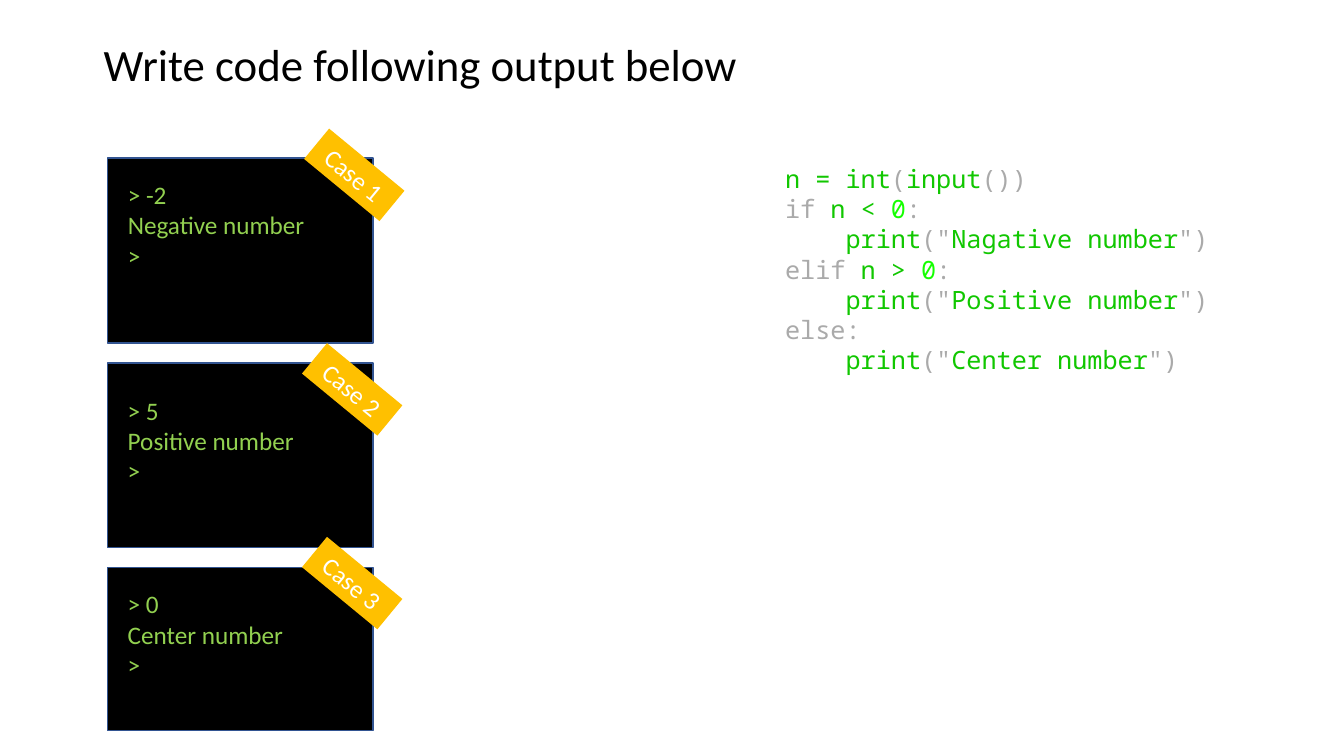
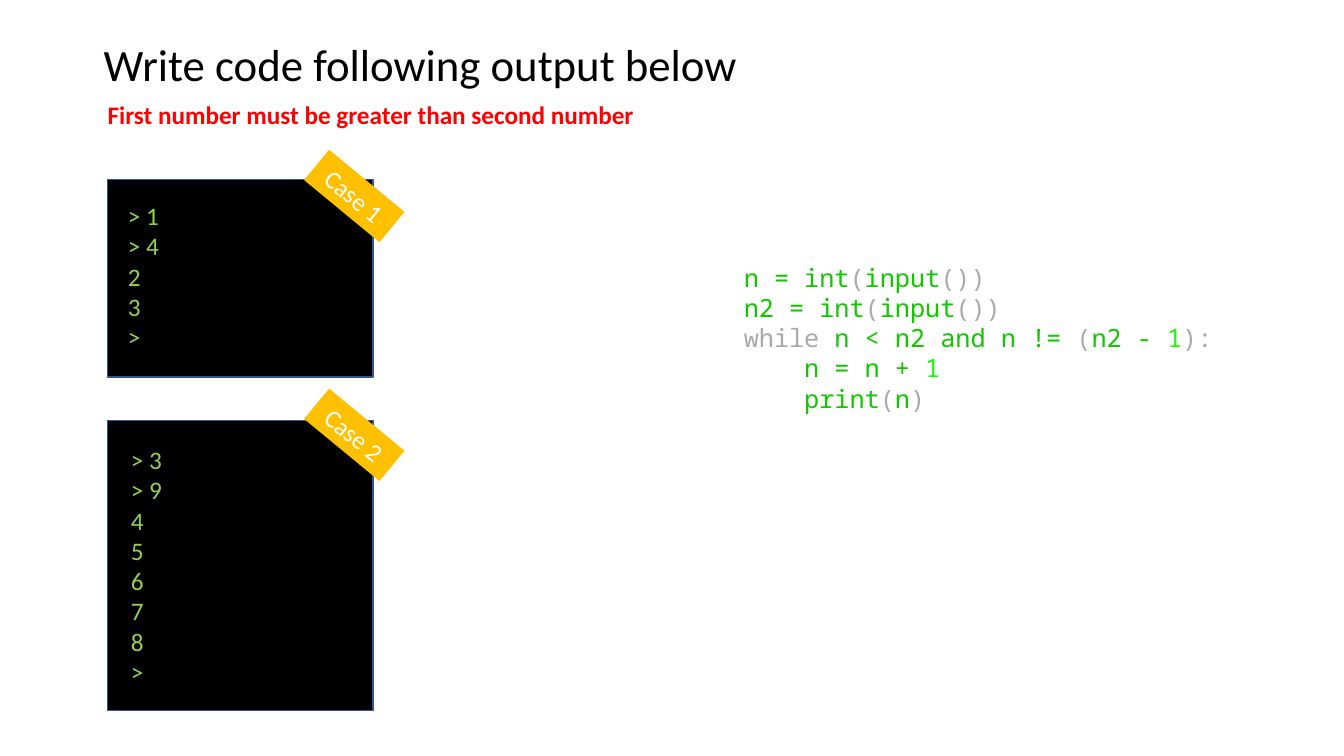
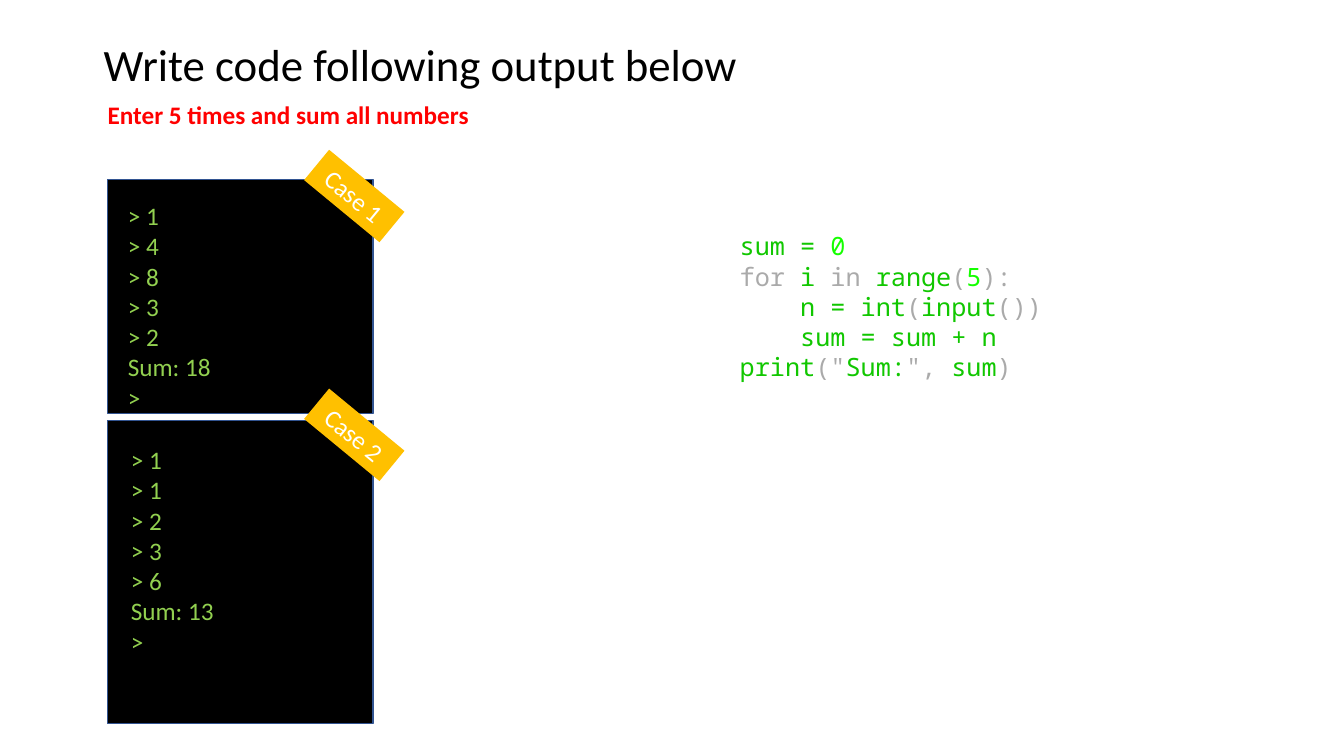
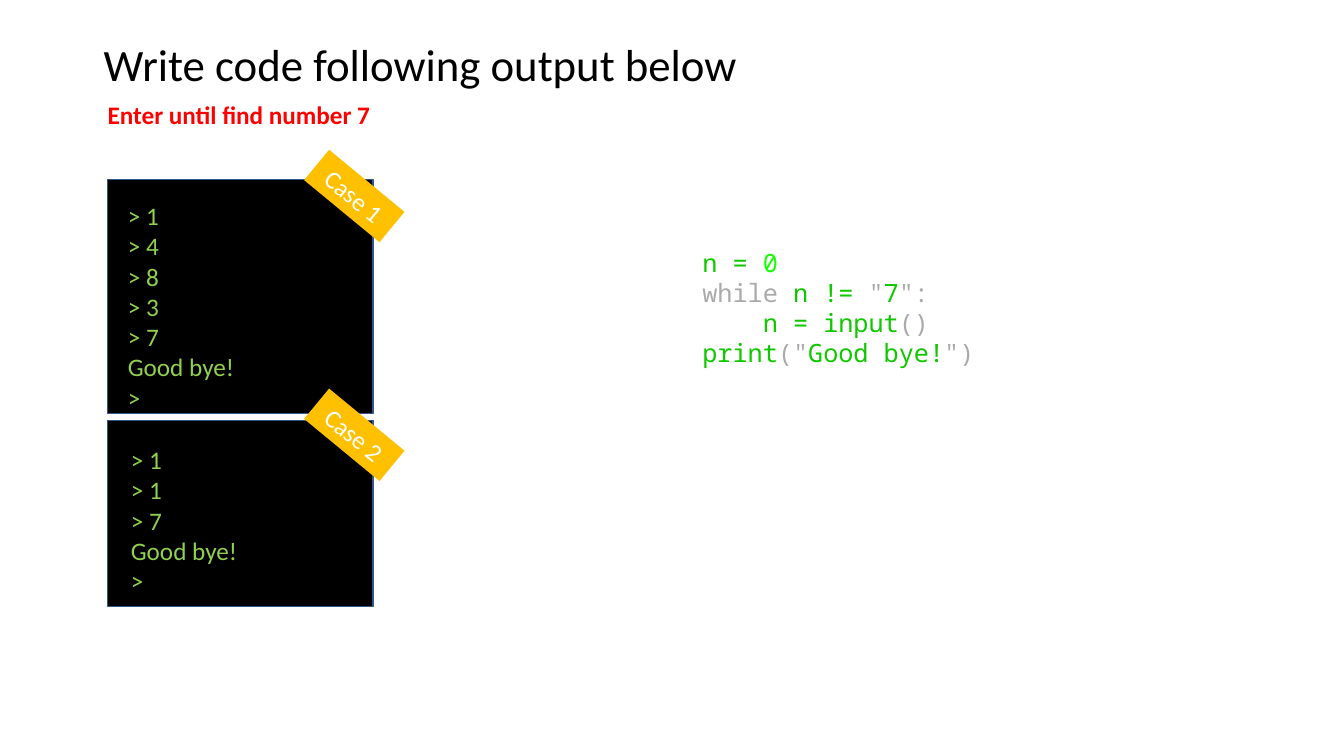
from dataclasses import dataclass

from pptx import Presentation
from pptx.dml.color import RGBColor
from pptx.enum import shapes, text
from pptx.util import Pt


# Theme: colours, fonts and type sizes
@dataclass(frozen=True)
class Theme:
    black: str = "000000"
    white: str = "FFFFFF"
    red: str = "FF0000"
    amber: str = "FFC000"
    border: str = "325491"
    output: str = "92D050"
    code: str = "11C700"
    keyword: str = "AAAAAA"
    number: str = "15FF00"
    body_font: str = "Calibri"
    code_font: str = "Noto Sans Mono"
    title_size: int = 32
    body_size: int = 18


THEME = Theme()
TITLE = "Write code following output below"
KEYWORDS = {"if", "elif", "else", "while", "for", "in"}
PUNCTUATION = set('()":,')
LINE_HEIGHT = 21.8
CODE_INDENT = 43.2  # four monospaced characters
SCREEN_LEFT, SCREEN_WIDTH = 77, 189.4
WIDE_OUTPUT = 195.1


@dataclass
class Case:
    """One terminal screen; output and tag are (left, top) positions."""
    top: float
    height: float
    output: tuple
    output_width: float
    tag: tuple
    lines: list


def rgb(colour):
    return RGBColor.from_string(colour)


def style(font, colour, size=THEME.body_size, name=THEME.body_font, bold=False):
    font.name, font.size, font.bold = name, Pt(size), bold
    font.color.rgb = rgb(colour)


# Element builders
def add_text_frame(slide, left, top, width, height, wrap=False):
    box = slide.shapes.add_textbox(Pt(left), Pt(top), Pt(width), Pt(height))
    frame = box.text_frame
    frame.word_wrap = wrap
    frame.auto_size = text.MSO_AUTO_SIZE.SHAPE_TO_FIT_TEXT
    return frame


def lines_height(lines):
    return 7.2 + LINE_HEIGHT * len(lines)


def add_rectangle(slide, left, top, width, height, fill, border=None):
    shape = slide.shapes.add_shape(
        shapes.MSO_SHAPE.RECTANGLE, Pt(left), Pt(top), Pt(width), Pt(height))
    shape.shadow.inherit = False
    shape.fill.solid()
    shape.fill.fore_color.rgb = rgb(fill)
    if border:
        shape.line.color.rgb = rgb(border)
        shape.line.width = Pt(1)
    else:
        shape.line.fill.background()
    return shape


def add_label(slide, words, left, top, width, height, colour, size, bold=False):
    paragraph = add_text_frame(slide, left, top, width, height).paragraphs[0]
    paragraph.text = words
    style(paragraph.font, colour, size, bold=bold)


def add_note(slide, words, width):
    add_label(slide, words, 69.8, 67.7, width, 29, THEME.red, THEME.body_size, bold=True)


def add_screen(slide, case):
    add_rectangle(slide, SCREEN_LEFT, case.top, SCREEN_WIDTH, case.height,
                  THEME.black, THEME.border)
    frame = add_text_frame(slide, *case.output, case.output_width,
                           lines_height(case.lines), case.output_width == WIDE_OUTPUT)
    frame.text = "\n".join(case.lines)
    for paragraph in frame.paragraphs:
        style(paragraph.font, THEME.output)


def add_tag(slide, words, position):
    tag = add_rectangle(slide, *position, 69.8, 28.1, THEME.amber)
    tag.rotation = 39.5
    tag.text_frame.vertical_anchor = text.MSO_ANCHOR.MIDDLE
    paragraph = tag.text_frame.paragraphs[0]
    paragraph.text = words
    paragraph.alignment = text.PP_ALIGN.CENTER
    style(paragraph.font, THEME.white)


def token_colour(token):
    if token.startswith("#"):
        return THEME.number
    if token.strip() in KEYWORDS or set(token) <= PUNCTUATION:
        return THEME.keyword
    return THEME.code


def add_code(slide, left, top, lines):
    """Lines hold tokens split by "|"; "#" marks a number, ">" an indented line."""
    frame = add_text_frame(slide, left, top, 480.2, lines_height(lines), wrap=True)
    for index, line in enumerate(lines):
        paragraph = frame.add_paragraph() if index else frame.paragraphs[0]
        if line.startswith(">"):
            paragraph._p.get_or_add_pPr().set("marL", str(Pt(CODE_INDENT)))
            line = line[1:]
        for token in line.split("|"):
            run = paragraph.add_run()
            run.text = token.lstrip("#")
            style(run.font, token_colour(token), name=THEME.code_font)


# Slide frames
def add_exercise(presentation, cases):
    slide = presentation.slides.add_slide(presentation.slide_layouts[6])
    add_label(slide, TITLE, 67, 23, 471.6, 46, THEME.black, THEME.title_size)
    for case in cases:
        add_screen(slide, case)
    for number, case in enumerate(cases, start=1):
        add_tag(slide, f"Case {number}", case.tag)
    return slide


def case_pair(first, second):
    """Two stacked screens, each given as (height, output width, lines)."""
    (height_1, width_1, lines_1), (height_2, width_2, lines_2) = first, second
    return [
        Case(128.2, height_1, (84.2, 139.7), width_1, (218.2, 126), lines_1),
        Case(300.2, height_2, (86.4, 313.9), width_2, (218.2, 296.6), lines_2),
    ]


# Slides
def sign_slide(presentation):
    slide = add_exercise(presentation, [
        Case(113, 132, (84.2, 124.6), 142.6, (218.2, 110.9),
             ["> -2", "Negative number", ">"]),
        Case(259.2, 132, (84.2, 278.6), 134.6, (216.7, 264.2),
             ["> 5", "Positive number", ">"]),
        Case(405.4, 116.6, (84.2, 416.9), 126.7, (216.7, 402.5),
             ["> 0", "Center number", ">"]),
    ])
    add_code(slide, 553.7, 113, [
        "n = int|(|input|())",
        "if| n < |#0|:",
        '>print|("|Nagative number|")',
        "elif| n > |#0|:",
        '>print|("|Positive number|")',
        "else|:",
        '>print|("|Center number|")',
    ])


def between_slide(presentation):
    slide = add_exercise(presentation, case_pair(
        (141.1, 36.7, ["> 1", "> 4", "2", "3", ">"]),
        (207.4, 36.7, ["> 3", "> 9", "4", "5", "6", "7", "8", ">"])))
    add_note(slide, "First number must be greater than second number", 393.1)
    add_code(slide, 524.2, 183.6, [
        "n = int|(|input|())",
        "n2 = int|(|input|())",
        "while| n < n2 and n != |(|n2 - |#1|):",
        ">n = n + |#1",
        ">print|(|n|)",
    ])


def sum_slide(presentation):
    slide = add_exercise(presentation, case_pair(
        (167, WIDE_OUTPUT, ["> 1", "> 4", "> 8", "> 3", "> 2", "Sum: 18", ">"]),
        (216.7, 74.2, ["> 1", "> 1", "> 2", "> 3", "> 6", "Sum: 13", ">"])))
    add_note(slide, "Enter 5 times and sum all numbers", 275)
    add_code(slide, 521.3, 161.3, [
        "sum = |#0",
        "for| i |in| range|(|#5|):",
        ">n = int|(|input|())",
        ">sum = sum + n",
        'print|("|Sum:|",| sum|)',
    ])


def until_slide(presentation):
    slide = add_exercise(presentation, case_pair(
        (167, WIDE_OUTPUT, ["> 1", "> 4", "> 8", "> 3", "> 7", "Good bye!", ">"]),
        (133.2, 91.4, ["> 1", "> 1", "> 7", "Good bye!", ">"])))
    add_note(slide, "Enter until find number 7", 203.8)
    add_code(slide, 494.6, 172.8, [
        "n = |#0",
        'while| n != |"|7|":',
        ">n = input|()",
        'print|("|Good bye!|")',
    ])


def main():
    presentation = Presentation()
    presentation.slide_width, presentation.slide_height = Pt(960), Pt(540)
    sign_slide(presentation)
    between_slide(presentation)
    sum_slide(presentation)
    until_slide(presentation)
    presentation.save("out.pptx")


main()
